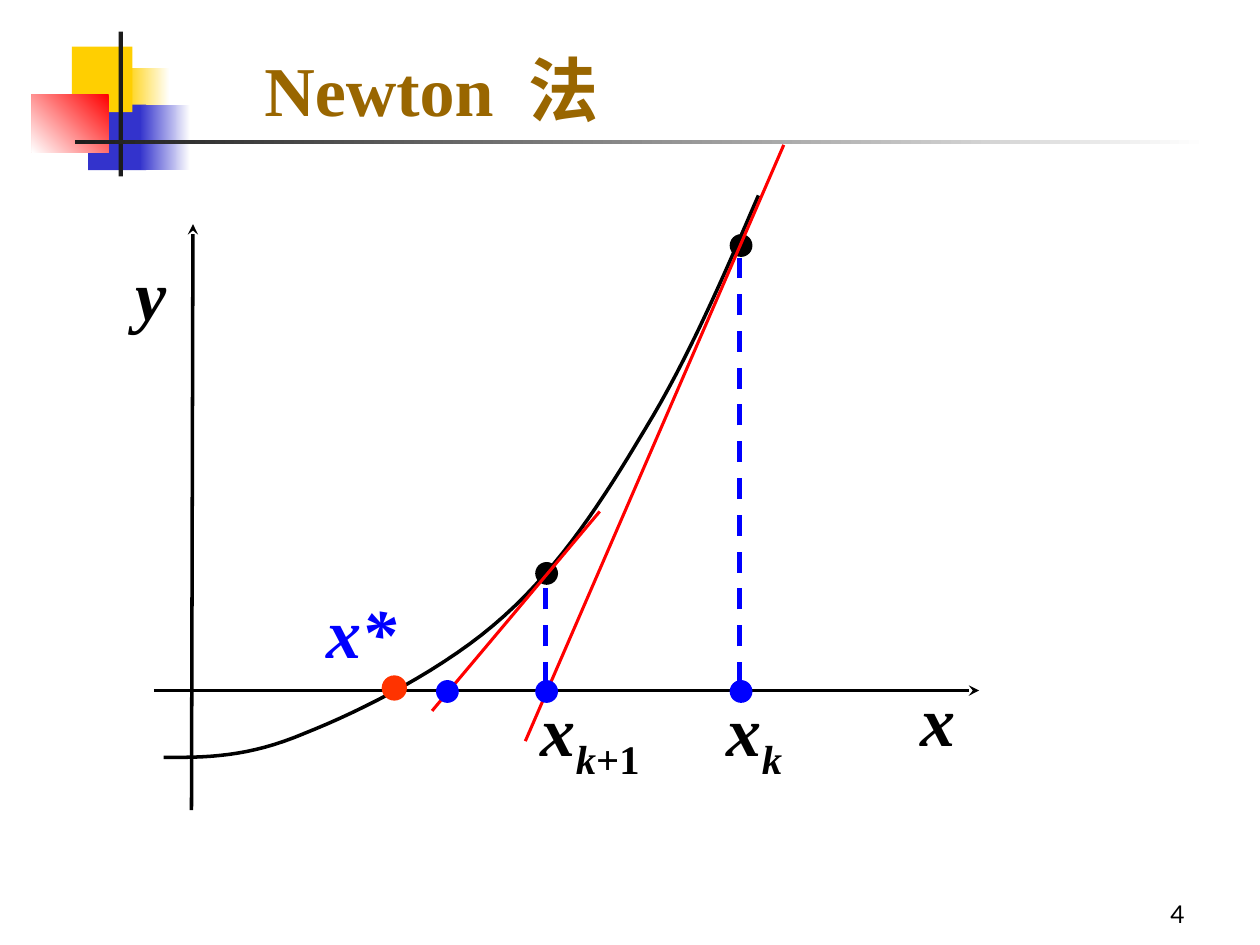
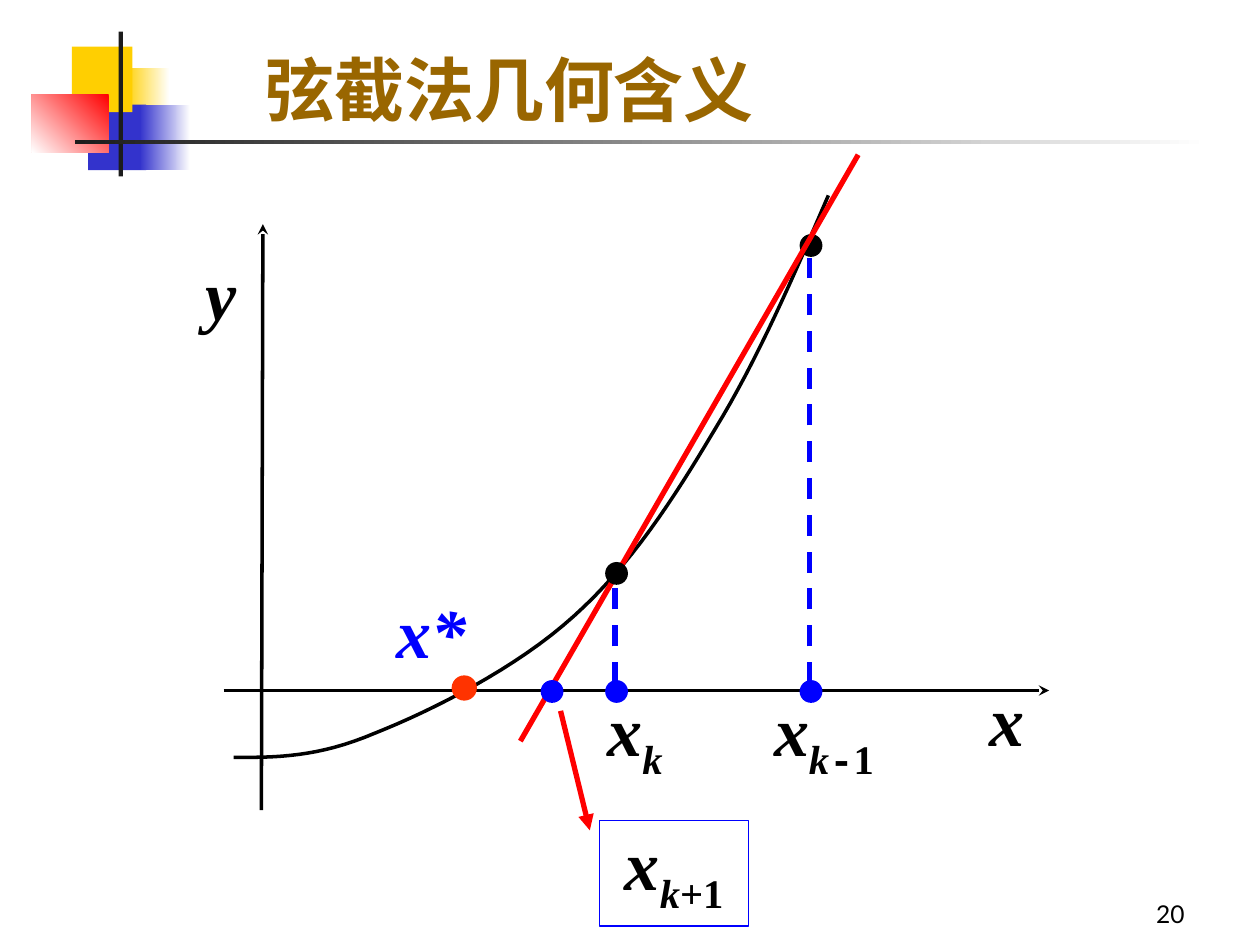
from pptx import Presentation
from pptx.dml.color import RGBColor
from pptx.enum.dml import MSO_LINE
from pptx.enum.shapes import MSO_CONNECTOR, MSO_SHAPE
from pptx.enum.text import MSO_ANCHOR, PP_ALIGN
from pptx.oxml.ns import qn
from pptx.util import Cm, Pt
from lxml import etree

RECT, OVAL = MSO_SHAPE.RECTANGLE, MSO_SHAPE.OVAL
STRAIGHT, DASH = MSO_CONNECTOR.STRAIGHT, MSO_LINE.DASH
BOTTOM = MSO_ANCHOR.BOTTOM
LEFT, CENTER, RIGHT = PP_ALIGN.LEFT, PP_ALIGN.CENTER, PP_ALIGN.RIGHT

COLORS = {
    "white": "FFFFFF", "black": "000000", "charcoal": "1C1C1C",
    "yellow": "FFCF01", "navy": "3333CC", "red": "FF0000",
    "blue": "0000FF", "root": "FF3300", "title": "996600",
}
SERIF, MONO, SANS = "Times New Roman", "Courier New", "Lato"

ORNAMENT = [
    (2.51, 1.37, 0.91, 1.32, ("white", "yellow", 180)),
    (1.78, 2.11, 1.17, 1.32, "navy"),
    (1.45, 0.94, 1.22, 1.32, "yellow"),
    (2.82, 2.11, 1.02, 1.32, ("white", "navy", 180)),
    (0.64, 1.9, 1.55, 1.17, ("red", "white", 225)),
    (2.39, 0.64, 0.09, 2.92, "charcoal"),
    (1.52, 2.82, 22.86, 0.09, ("white", "charcoal", 180)),
]

AXIS_Y = 13.92
FAR, NEAR = (14.94, 4.95), (11.02, 11.56)
CURVE_START = (3.3, 15.27)
CURVE = [
    ((4.17, 15.27), (5, 15.27), (6.15, 14.78)),
    ((7.29, 14.33), (9.02, 13.46), (10.16, 12.42)),
    ((11.3, 11.4), (12.17, 10.06), (13, 8.66)),
    ((13.87, 7.24), (14.58, 5.59), (15.29, 3.94)),
]
CURVE_STEPS = 16
SECANT_SHIFT = 1.41

X = ("x", {})
K = ("k", {"sub": True})
PLUS_ONE = ("+1", {"sub": True, "italic": False})
MINUS = ("-", {"sub": True, "italic": False, "font": MONO})
ONE = ("1", {"sub": True, "italic": False})
X_K = [X, K]
X_NEXT = [X, K, PLUS_ONE]
X_PREVIOUS = [X, K, MINUS, ONE]


def rgb(color):
    return RGBColor.from_string(COLORS[color])


def add_shape(slide, preset, left, top, width, height, fill=None):
    shape = slide.shapes.add_shape(preset, Cm(left), Cm(top), Cm(width), Cm(height))
    shape.shadow.inherit = False
    shape.line.fill.background()
    if fill is None:
        shape.fill.background()
    elif isinstance(fill, tuple):
        start, end, angle = fill
        shape.fill.gradient()
        shape.fill.gradient_angle = angle
        for stop, color in zip(shape.fill.gradient_stops, (start, end)):
            stop.color.rgb = rgb(color)
    else:
        shape.fill.solid()
        shape.fill.fore_color.rgb = rgb(fill)
    return shape


def add_dot(slide, x, y, color, size=0.46):
    add_shape(slide, OVAL, x - size / 2, y - size / 2, size, size, color)


def add_line(slide, start, end, color, width, dash=None, arrow=None):
    line = slide.shapes.add_connector(
        STRAIGHT, *(Cm(value) for value in (*start, *end)))
    line.line.color.rgb = rgb(color)
    line.line.width = Pt(width)
    if dash:
        line.line.dash_style = dash
    properties = line._element.spPr
    if arrow:
        etree.SubElement(properties.find(qn("a:ln")), qn("a:tailEnd"), type=arrow)
    etree.SubElement(properties, qn("a:effectLst"))


def write(frame, runs, color, size=40, font=SERIF, align=CENTER,
          bold=True, italic=True):
    frame.word_wrap = True
    paragraph = frame.paragraphs[0]
    paragraph.alignment = align
    for text, style in runs:
        run = paragraph.add_run()
        run.text = text
        run.font.name = style.get("font", font)
        run.font.size = Pt(size)
        run.font.bold = bold
        run.font.italic = style.get("italic", italic)
        run.font.color.rgb = rgb(color)
        properties = run.font._element
        if style.get("sub"):
            properties.set("baseline", "-25000")
        if "spacing" in style:
            properties.set("spc", str(style["spacing"] * 100))


def add_text(slide, left, top, width, height, runs, color, anchor=None, **style):
    box = slide.shapes.add_textbox(Cm(left), Cm(top), Cm(width), Cm(height))
    box.text_frame.vertical_anchor = anchor
    write(box.text_frame, runs, color, **style)


def add_label(slide, center, top, runs, color="black"):
    width = 3.9
    add_text(slide, center - width / 2, top, width, 1.96, runs, color)


def bezier(start, first, second, end, t):
    s = 1 - t
    return tuple(
        s ** 3 * a + 3 * s * s * t * b + 3 * s * t * t * c + t ** 3 * d
        for a, b, c, d in zip(start, first, second, end))


def add_curve(slide, shift):
    points = [CURVE_START]
    for first, second, end in CURVE:
        start = points[-1]
        points += [bezier(start, first, second, end, step / CURVE_STEPS)
                   for step in range(1, CURVE_STEPS + 1)]
    outline = [(Cm(x + shift), Cm(y)) for x, y in points]
    builder = slide.shapes.build_freeform(*outline[0])
    builder.add_line_segments(outline[1:], close=False)
    curve = builder.convert_to_shape()
    curve.shadow.inherit = False
    curve.fill.background()
    curve.line.color.rgb = rgb("black")
    curve.line.width = Pt(2)


def add_axis_dot(slide, x):
    add_dot(slide, x, AXIS_Y + 0.02, "blue")


def add_ordinate(slide, point, shift, label_center, label):
    x, y = point[0] + shift, point[1]
    add_label(slide, label_center, 13.72, label)
    add_axis_dot(slide, x)
    add_line(slide, (x - 0.03, 13.77), (x - 0.03, y + 0.25), "blue", 3, dash=DASH)
    add_dot(slide, x, y, "black")


def add_graph(slide, shift=0):
    add_line(slide, (3.1 + shift, AXIS_Y), (19.74 + shift, AXIS_Y),
             "black", 2, arrow="stealth")
    add_line(slide, (3.86 + shift, 16.33), (3.89 + shift, 4.52),
             "black", 2, arrow="stealth")
    add_label(slide, 18.9 + shift, 13.51, [X])
    add_label(slide, 3.05 + shift, 4.93, [("y", {})])
    add_curve(slide, shift)
    add_label(slide, 7.29 + shift, 11.73, [("x*", {})], "blue")
    add_dot(slide, 7.95 + shift, 13.87, "root", size=0.51)


def add_base(deck, title, number):
    slide = deck.slides.add_slide(deck.slide_layouts[6])
    for part in ORNAMENT:
        add_shape(slide, RECT, *part)
    add_text(slide, 5.08, 0.64, 15.4, 2.11, title, "title",
             anchor=BOTTOM, align=LEFT, italic=False)
    add_text(slide, 18.85, 17.58, 5.28, 1.27, [(str(number), {})], "black",
             anchor=BOTTOM, size=14, font=SANS, align=RIGHT,
             bold=False, italic=False)
    return slide


def add_newton_slide(deck):
    title = [("Newton", {}), (" ", {"spacing": 10}), ("法", {})]
    slide = add_base(deck, title, 4)
    add_graph(slide)
    add_ordinate(slide, FAR, 0, 15.21, X_K)
    add_line(slide, (15.8, 2.92), (10.59, 14.94), "red", 1.75)
    add_ordinate(slide, NEAR, 0, 11.9, X_NEXT)
    add_line(slide, (12.09, 10.31), (8.71, 14.33), "red", 1.75)
    add_axis_dot(slide, 9.02)


def add_secant_slide(deck):
    slide = add_base(deck, [("弦截法几何含义", {})], 20)
    add_graph(slide, SECANT_SHIFT)
    add_ordinate(slide, FAR, SECANT_SHIFT, 16.61, X_PREVIOUS)
    add_line(slide, (17.3, 3.12), (10.49, 14.94), "red", 3)
    add_ordinate(slide, NEAR, SECANT_SHIFT, 12.8, X_K)
    add_axis_dot(slide, 11.13)
    next_box = add_shape(slide, RECT, 12.09, 16.54, 3, 2.13)
    next_box.line.color.rgb = rgb("blue")
    next_box.line.width = Pt(0.75)
    frame = next_box.text_frame
    frame.margin_left = frame.margin_right = frame.margin_top = 0
    frame.margin_bottom = Cm(0.2)
    write(frame, X_NEXT, "black")
    add_line(slide, (11.3, 14.33), (11.89, 16.74), "red", 3, arrow="triangle")


def main():
    deck = Presentation()
    deck.slide_width, deck.slide_height = Cm(25.4), Cm(19.05)
    add_newton_slide(deck)
    add_secant_slide(deck)
    deck.save("out.pptx")


if __name__ == "__main__":
    main()
